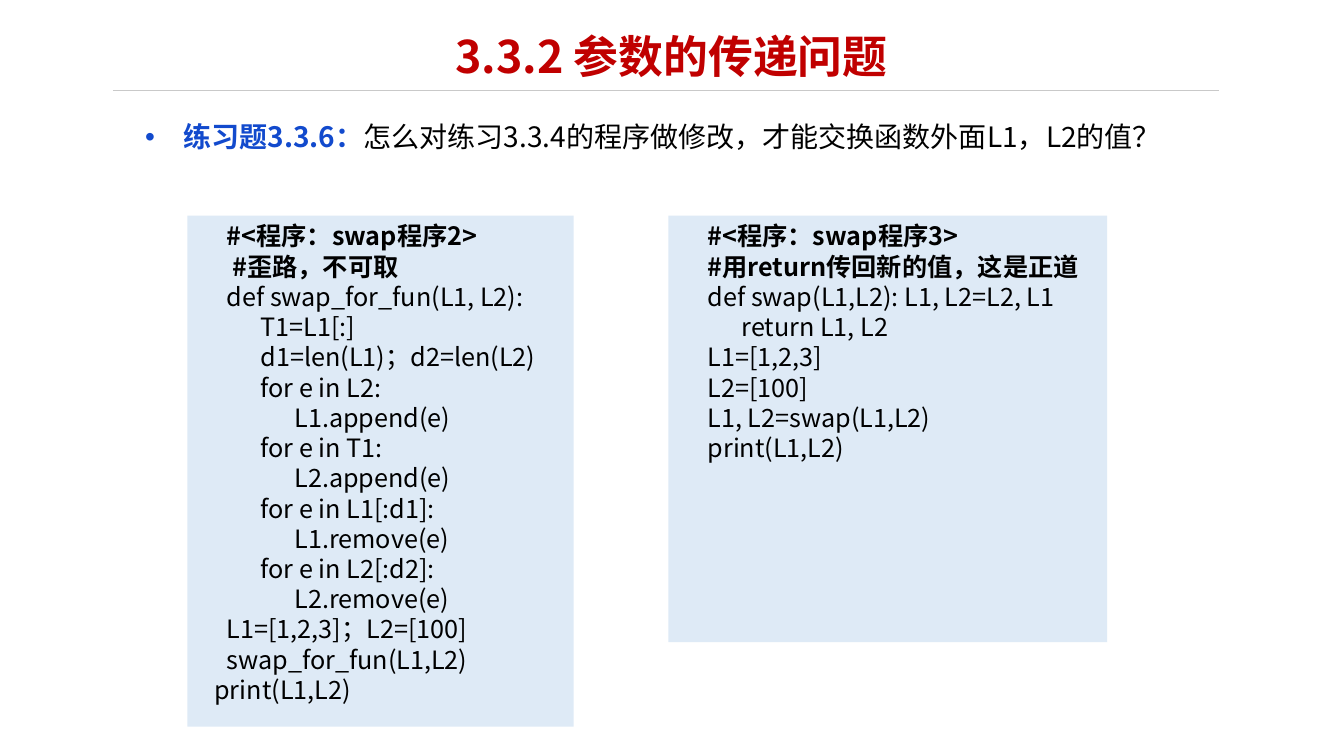
from lxml import etree
from pptx import Presentation
from pptx.dml.color import RGBColor
from pptx.enum import shapes, text
from pptx.oxml.ns import qn
from pptx.util import Inches, Pt

FONT = "Noto Sans CJK SC"

SWAP_BY_RETURN = """\
#<程序：swap程序3>
#用return传回新的值，这是正道
def swap(L1,L2): L1, L2=L2, L1
      return L1, L2
L1=[1,2,3]
L2=[100]
L1, L2=swap(L1,L2)
print(L1,L2)"""

SWAP_IN_PLACE = """\
#<程序：swap程序2>
 #歪路，不可取
def swap_for_fun(L1, L2):
      T1=L1[:]
      d1=len(L1)；d2=len(L2)
      for e in L2:
            L1.append(e)
      for e in T1:
            L2.append(e)
      for e in L1[:d1]:
            L1.remove(e)
      for e in L2[:d2]:
            L2.remove(e)
L1=[1,2,3]；L2=[100]
swap_for_fun(L1,L2)
   print(L1,L2)"""


def color(hex_code):
    return RGBColor.from_string(hex_code)


def style_run(run, size, hex_code="000000", bold=False):
    run.font.size = Pt(size)
    run.font.bold = bold
    run.font.name = FONT
    run.font.color.rgb = color(hex_code)
    east_asian = etree.SubElement(run._r.get_or_add_rPr(), qn("a:ea"))
    east_asian.set("typeface", FONT)


def set_indent(paragraph, first_line, left=0):
    properties = paragraph._p.get_or_add_pPr()
    properties.set("marL", str(Inches(left)))
    properties.set("indent", str(Inches(first_line)))
    return properties


def add_text_frame(slide, left, top, width, height):
    box = slide.shapes.add_textbox(
        Inches(left), Inches(top), Inches(width), Inches(height))
    box.text_frame.word_wrap = True
    return box.text_frame


def add_title(slide, wording):
    frame = add_text_frame(slide, 2.35, 0.34, 8.62, 0.71)
    frame.margin_top = 0
    heading = frame.paragraphs[0]
    heading.text = wording
    heading.alignment = text.PP_ALIGN.CENTER
    heading.line_spacing = 0.9
    style_run(heading.runs[0], 32, "C00000", bold=True)


def add_title_rule(slide):
    rule = slide.shapes.add_connector(
        shapes.MSO_CONNECTOR.STRAIGHT,
        Inches(1.12), Inches(0.9), Inches(12.09), Inches(0.9))
    rule.line.color.rgb = color("C9C9C9")
    rule.line.width = Pt(1)
    etree.SubElement(rule._element.spPr, qn("a:effectLst"))


def add_exercise(slide, label, question):
    frame = add_text_frame(slide, 1.34, 1.14, 10.42, 0.44)
    exercise = frame.paragraphs[0]
    exercise.line_spacing = Pt(24)
    properties = set_indent(exercise, -0.38, left=0.38)
    etree.SubElement(properties, qn("a:buFont")).set("typeface", "Arial")
    etree.SubElement(properties, qn("a:buChar")).set("char", "•")
    for wording, hex_code, bold in ((label, "124ACD", True),
                                    (question, "000000", False)):
        run = exercise.add_run()
        run.text = wording
        style_run(run, 20, hex_code, bold)


def add_listing(slide, code, left, width, height):
    panel = slide.shapes.add_shape(
        shapes.MSO_SHAPE.RECTANGLE,
        Inches(left), Inches(2.14), Inches(width), Inches(height))
    panel.shadow.inherit = False
    panel.fill.solid()
    panel.fill.fore_color.rgb = color("DEEAF6")
    panel.line.fill.background()
    frame = panel.text_frame
    frame.word_wrap = True
    frame.vertical_anchor = text.MSO_ANCHOR.TOP
    frame.text = code
    for line in frame.paragraphs:
        # The closing line of the first program is indented by spaces alone
        unindented = line.text.startswith("   print")
        set_indent(line, 0 if unindented else 0.29)
        line.alignment = (text.PP_ALIGN.LEFT if unindented
                          else text.PP_ALIGN.JUSTIFY)
        line.line_spacing = Pt(21.6)
        is_comment = line.text.strip().startswith("#")
        style_run(line.runs[0], 18, bold=is_comment)


def main():
    deck = Presentation()
    deck.slide_width, deck.slide_height = Inches(13.33), Inches(7.5)
    slide = deck.slides.add_slide(deck.slide_layouts[6])

    # Heading
    add_title_rule(slide)
    add_title(slide, "3.3.2 参数的传递问题")

    # Exercise
    add_exercise(slide, "练习题3.3.6：",
                 "怎么对练习3.3.4的程序做修改，才能交换函数外面L1，L2的值？")

    # Programs
    add_listing(slide, SWAP_BY_RETURN, 6.63, 4.35, 4.23)
    add_listing(slide, SWAP_IN_PLACE, 1.86, 3.83, 5.07)

    deck.save("out.pptx")


if __name__ == "__main__":
    main()
